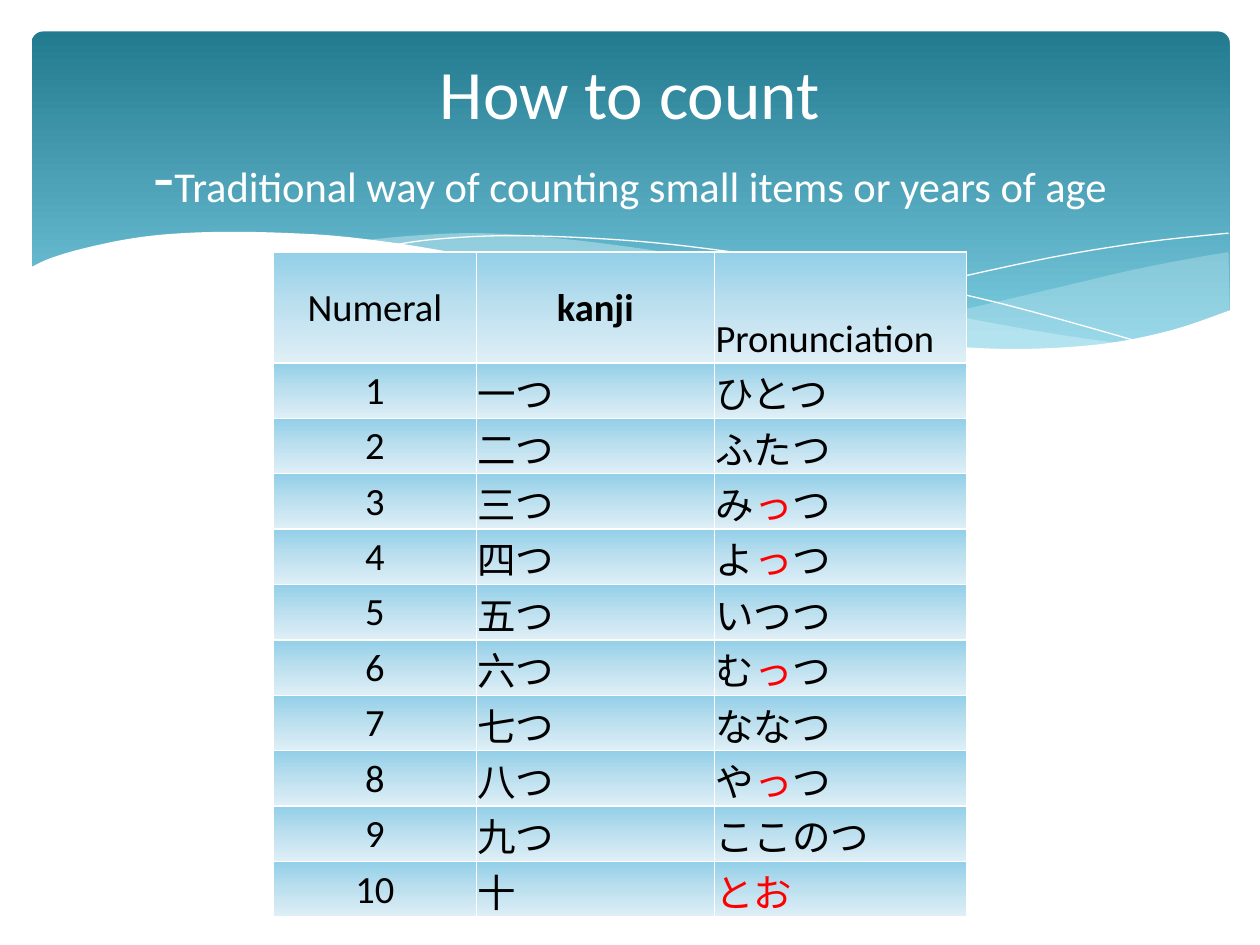
import copy
import dataclasses
import pptx
import pptx.dml.color
import pptx.enum.shapes
import pptx.enum.text
import pptx.oxml
import pptx.oxml.ns
import pptx.util

ALIGN = pptx.enum.text.PP_ALIGN
ANCHOR = pptx.enum.text.MSO_ANCHOR
SCALE = 9144
STEPS = 5


@dataclasses.dataclass(frozen=True)
class Theme:
    font: str = "Calibri"
    white: str = "FFFFFF"
    ink: str = "000000"
    hot: str = "FF0000"
    mist: str = "DEF5FA"
    sky: tuple = ((0, "227A8F"), (0.9, "7ACBE0"))
    cell: tuple = ((0, "92CFE8"), (0.5, "BDE0EF"), (1, "DFEFF6"))
    head: float = 39.6
    sub: float = 24.3
    body: float = 22


def px(num):
    return pptx.util.Emu(round(num * SCALE))


def tint(code):
    return pptx.dml.color.RGBColor.from_string(code)


def put(item, form):
    for name, value in form.items():
        setattr(item, name, value)


def curve(knots):
    ends = [knots[0], *knots, knots[-1]]
    for quad in zip(ends, ends[1:], ends[2:], ends[3:]):
        for step in range(STEPS):
            t = step / STEPS
            yield tuple(
                q + (t * (r - p) + t ** 2 * (2 * p - 5 * q + 4 * r - s)
                     + t ** 3 * (3 * q - p - 3 * r + s)) / 2
                for p, q, r, s in zip(*quad))
    yield knots[-1]


class Deck:
    def __init__(self, theme):
        self.theme = theme
        self.file = pptx.Presentation()
        put(self.file, {"slide_width": px(1000), "slide_height": px(750)})
        self.slide = self.file.slides.add_slide(self.file.slide_layouts[6])

    def blend(self, fill, stops):
        fill.gradient()
        fill.gradient_angle = 270
        marks = fill._fill._gradFill.gsLst
        while len(marks) < len(stops):
            marks.append(copy.deepcopy(marks[-1]))
        for mark, (spot, code) in zip(fill.gradient_stops, stops):
            mark.position = spot
            mark.color.rgb = tint(code)

    def text(self, para, words, size, code, bold=False):
        run = para.add_run()
        run.text = words
        put(run.font, {"name": self.theme.font, "size": pptx.util.Pt(size),
                       "bold": bold})
        run.font.color.rgb = tint(code)

    def panel(self, left, top, wide, high):
        kind = pptx.enum.shapes.MSO_SHAPE.ROUNDED_RECTANGLE
        shape = self.slide.shapes.add_shape(kind, *map(px, (left, top, wide, high)))
        shape.adjustments[0] = 0.034
        shape.shadow.inherit = False
        self.blend(shape.fill, self.theme.sky)
        shape.line.fill.background()

    def wave(self, edges, code=None, alpha=100):
        spots = [tuple(map(px, spot)) for edge in edges for spot in curve(edge)]
        pen = self.slide.shapes.build_freeform(*spots[0])
        pen.add_line_segments(spots[1:], close=code is not None)
        shape = pen.convert_to_shape()
        shape.shadow.inherit = False
        if code is None:
            shape.fill.background()
            shape.line.color.rgb = tint(self.theme.white)
            shape.line.width = 0
            return
        shape.line.fill.background()
        shape.fill.solid()
        shape.fill.fore_color.rgb = tint(code)
        if alpha < 100:
            node = shape.fill._xPr.find(".//" + pptx.oxml.ns.qn("a:srgbClr"))
            node.append(pptx.oxml.parse_xml(
                f'<a:alpha {pptx.oxml.ns.nsdecls("a")} val="{alpha * 1000}"/>'))

    def title(self, left, top, wide, high, head, dash, sub):
        box = self.slide.shapes.add_textbox(*map(px, (left, top, wide, high)))
        put(box.text_frame, {"word_wrap": True, "vertical_anchor": ANCHOR.MIDDLE})
        para = box.text_frame.paragraphs[0]
        para.alignment = ALIGN.CENTER
        look = self.theme
        self.text(para, head, look.head, look.white)
        para.add_line_break()
        self.text(para, dash, look.head, look.white)
        self.text(para, sub, look.sub, look.white)

    def frame(self, cell):
        props = cell._tc.get_or_add_tcPr()
        for spot, side in enumerate("LRTB"):
            props.insert(spot, pptx.oxml.parse_xml(
                f'<a:ln{side} {pptx.oxml.ns.nsdecls("a")} w="12700"><a:solidFill>'
                f'<a:srgbClr val="{self.theme.white}"/></a:solidFill></a:ln{side}>'))

    def table(self, left, top, cols, highs, rows):
        spot = map(px, (left, top, sum(cols), sum(highs)))
        grid = self.slide.shapes.add_table(len(rows), len(cols), *spot).table
        put(grid, {"first_row": False, "horz_banding": False})
        for col, wide in zip(grid.columns, cols):
            col.width = px(wide)
        for y, (row, high) in enumerate(zip(rows, highs)):
            grid.rows[y].height = px(high)
            for x, words in enumerate(row):
                cell = grid.cell(y, x)
                low = y == 0 and x == 2
                put(cell, {"margin_left": px(1), "margin_right": px(1),
                           "margin_top": px(1), "margin_bottom": 0,
                           "vertical_anchor": ANCHOR.BOTTOM if low else ANCHOR.MIDDLE})
                self.blend(cell.fill, self.theme.cell)
                self.frame(cell)
                para = cell.text_frame.paragraphs[0]
                bold = y == 0 and x == 1
                para.alignment = ALIGN.CENTER if x == 0 or bold else ALIGN.LEFT
                for turn, part in enumerate(words.split("*")):
                    if part:
                        code = self.theme.hot if turn % 2 else self.theme.ink
                        self.text(para, part, self.theme.body, code, bold)


PALE = [
    [(975, 200), (935, 207), (891, 216), (832, 230), (753, 248), (661, 265)],
    [(661, 265), (719, 271), (769, 276), (803, 278), (854, 276), (897, 270),
     (942, 259), (976, 247)]]
BAND = [
    [(893, 273), (837, 265), (775, 254), (706, 240), (629, 222), (569, 208),
     (514, 198), (442, 189), (380, 185), (328, 187), (286, 191)],
    [(286, 191), (342, 199), (404, 211), (449, 222), (530, 240), (601, 255),
     (665, 266), (722, 274), (773, 277), (818, 278), (857, 277), (893, 273)]]
FALL = [[(309, 195), (344, 190), (401, 187), (469, 189), (533, 194), (608, 204),
         (695, 219), (795, 241), (907, 272)]]
RISE = [[(613, 257), (672, 241), (748, 223), (836, 204), (910, 192), (975, 185)]]
FRONT = [
    [(977, 246), (930, 262), (875, 273), (809, 277), (744, 274), (668, 265),
     (579, 250), (503, 233), (447, 220), (391, 207), (340, 197), (292, 190),
     (250, 186), (193, 184), (146, 185), (106, 189), (67, 197), (40, 205), (23, 213)],
    [(23, 213), (23, 329)],
    [(23, 329), (977, 329)]]
KANJI = "一つ 二つ 三つ 四つ 五つ 六つ 七つ 八つ 九つ 十".split()
SOUNDS = ("ひとつ ふたつ み*っ*つ よ*っ*つ いつつ む*っ*つ ななつ や*っ*つ "
          "ここのつ *とお*").split()


def main():
    theme = Theme()
    deck = Deck(theme)
    deck.panel(25, 25, 951, 270)
    deck.wave(PALE, theme.mist, 29)
    deck.wave(BAND, theme.mist, 40)
    deck.wave(FALL)
    deck.wave(RISE)
    deck.wave(FRONT, theme.white)
    deck.title(50, 37, 900, 137, "How to count", "-",
               "Traditional way of counting small items or years of age")
    rows = [("Numeral", "kanji", "Pronunciation")]
    rows += [(str(num), *pair) for num, pair in enumerate(zip(KANJI, SOUNDS), 1)]
    deck.table(217, 200, (161, 189, 200), [88] + [44] * 10, rows)
    deck.file.save("out.pptx")


if __name__ == "__main__":
    main()
